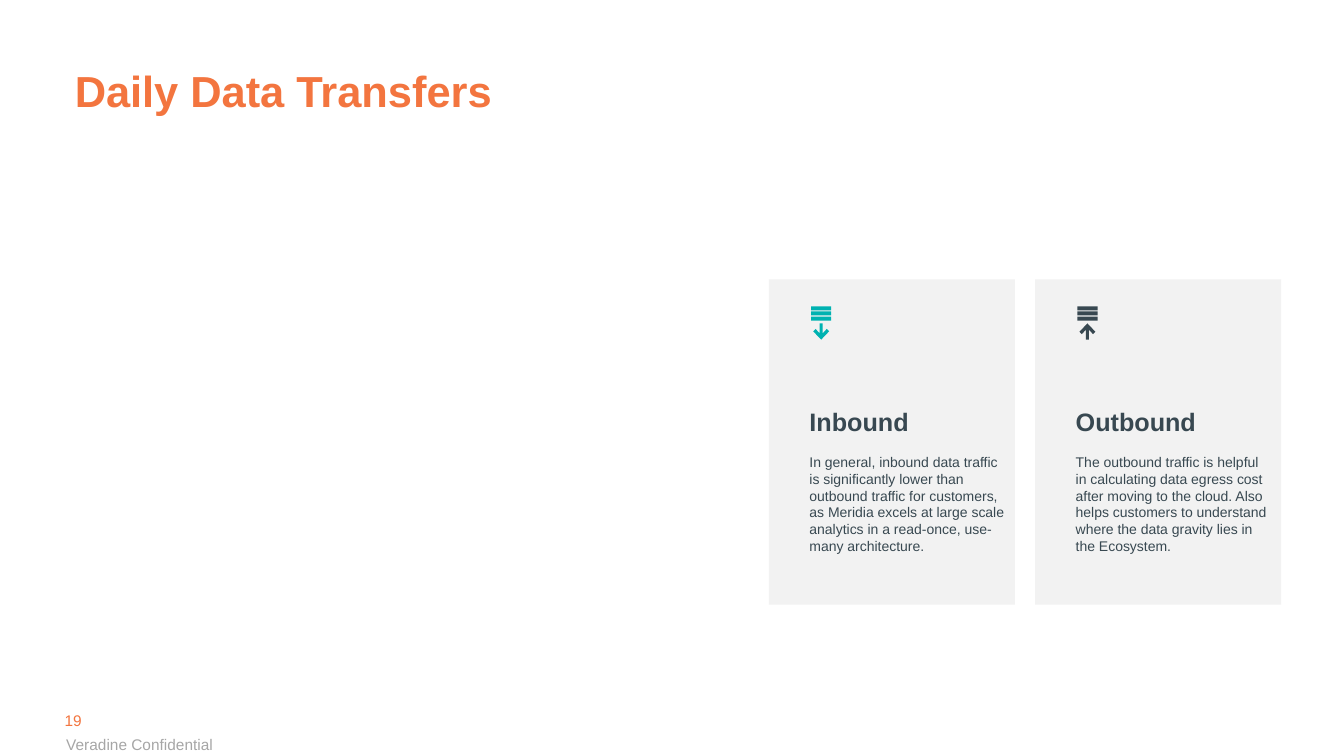
from dataclasses import dataclass
from typing import Any

from pptx import Presentation
from pptx.dml.color import RGBColor
from pptx.enum.shapes import MSO_SHAPE
from pptx.enum.text import MSO_ANCHOR, MSO_AUTO_SIZE, PP_ALIGN
from pptx.util import Cm, Pt

ORANGE = RGBColor(0xF3, 0x75, 0x3F)
SLATE = RGBColor(0x38, 0x48, 0x51)
TEAL = RGBColor(0x00, 0xB2, 0xB1)
PALE = RGBColor(0xF2, 0xF2, 0xF2)
GREY = RGBColor(0xA6, 0xA6, 0xA6)

CARD_LEFT, CARD_TOP, CARD_WIDE, CARD_HIGH = 19.38, 7.04, 6.2, 8.2
CARD_STEP = 6.71
ICON_LEFT, ICON_TOP = 1.06, 0.68
BAR_WIDE, BAR_HIGH, BAR_STEP, BAR_COUNT = 0.51, 0.1, 0.13, 3
ARROW_TOP, ARROW_HIGH = 1.11, 0.41
# Right half of a downward arrow: offset from its axis, depth
ARROW_HALF = [(0.04, 0), (0.04, 0.25), (0.14, 0.14), (0.2, 0.2), (0, 0.41)]

CARD_FRAME = {
    "word_wrap": True,
    "vertical_anchor": MSO_ANCHOR.BOTTOM,
    "margin_left": Cm(1.02),
    "margin_top": 0,
    "margin_right": Cm(0.25),
    "margin_bottom": Cm(1.27),
}
CARD_PARA = {
    "alignment": PP_ALIGN.LEFT,
    "space_before": Pt(6),
    "space_after": Pt(6),
}
TITLE_FRAME = {
    "word_wrap": True,
    "auto_size": MSO_AUTO_SIZE.NONE,
    "vertical_anchor": MSO_ANCHOR.BOTTOM,
}
TITLE_PARA = {"alignment": PP_ALIGN.LEFT, "line_spacing": 0.9}


@dataclass
class Card:
    head: str
    body: str
    color: RGBColor
    down: bool


@dataclass
class Label:
    text: str
    box: tuple[float, float, float, float]
    inset: float
    color: RGBColor


CARDS = [
    Card(
        "Inbound",
        "In general, inbound data traffic is significantly lower than outbound "
        "traffic for customers, as Meridia excels at large scale analytics in a "
        "read-once, use-many architecture.",
        TEAL,
        True,
    ),
    Card(
        "Outbound",
        "The outbound traffic is helpful in calculating data egress cost after "
        "moving to the cloud. Also helps customers to understand where the data "
        "gravity lies in the Ecosystem.",
        SLATE,
        False,
    ),
]
LABELS = [
    Label("19", (1.63, 17.91, 0.48, 0.48), 0, ORANGE),
    Label("Veradine Confidential", (1.42, 18.39, 4.27, 0.74), 0.25, GREY),
]


def apply(item: Any, values: dict[str, Any]) -> None:
    """Set each named attribute of the item."""
    for name, value in values.items():
        setattr(item, name, value)


def write(para: Any, text: str, size: float, color: RGBColor, bold: bool = False) -> None:
    run = para.add_run()
    run.text = text
    apply(run.font, {"name": "Arial", "size": Pt(size), "bold": bold})
    run.font.color.rgb = color


def paint(shape: Any, color: RGBColor) -> None:
    shape.shadow.inherit = False
    shape.fill.solid()
    shape.fill.fore_color.rgb = color
    shape.line.fill.background()


def draw_rect(shapes: Any, box: tuple[float, ...], color: RGBColor) -> Any:
    rect = shapes.add_shape(MSO_SHAPE.RECTANGLE, *map(Cm, box))
    paint(rect, color)
    return rect


def draw_arrow(shapes: Any, left: float, top: float, card: Card) -> None:
    mirror = [(-x, y) for x, y in reversed(ARROW_HALF[:-1])]
    points = [
        (Cm(left + BAR_WIDE / 2 + x), Cm(top + (y if card.down else ARROW_HIGH - y)))
        for x, y in ARROW_HALF + mirror
    ]
    pen = shapes.build_freeform(*points[0])
    pen.add_line_segments(points[1:], close=True)
    paint(pen.convert_to_shape(), card.color)


def draw_card(shapes: Any, left: float, card: Card) -> None:
    rect = draw_rect(shapes, (left, CARD_TOP, CARD_WIDE, CARD_HIGH), PALE)
    frame = rect.text_frame
    apply(frame, CARD_FRAME)
    write(frame.paragraphs[0], card.head, 18, SLATE, True)
    write(frame.add_paragraph(), card.body, 10, SLATE)
    for para in frame.paragraphs:
        apply(para, CARD_PARA)

    icon = shapes.add_group_shape().shapes
    x, y = left + ICON_LEFT, CARD_TOP + ICON_TOP
    for row in range(BAR_COUNT):
        draw_rect(icon, (x, y + row * BAR_STEP, BAR_WIDE, BAR_HIGH), card.color)
    draw_arrow(icon, x, CARD_TOP + ARROW_TOP, card)


def draw_label(shapes: Any, label: Label) -> None:
    frame = shapes.add_textbox(*map(Cm, label.box)).text_frame
    frame.word_wrap = False
    sides = ("left", "right")
    apply(frame, {f"margin_{side}": Cm(label.inset) for side in sides})
    apply(frame, {f"margin_{side}": Cm(label.inset / 2) for side in ("top", "bottom")})
    write(frame.paragraphs[0], label.text, 11, label.color)


def draw_title(title: Any, text: str) -> None:
    apply(title, {"left": Cm(1.63), "top": Cm(1.09), "width": Cm(29.21), "height": Cm(1.98)})
    apply(title.text_frame, TITLE_FRAME)
    para = title.text_frame.paragraphs[0]
    apply(para, TITLE_PARA)
    write(para, text, 31, ORANGE, True)


def main() -> None:
    deck = Presentation()
    apply(deck, {"slide_width": Cm(33.87), "slide_height": Cm(19.05)})
    shapes = deck.slides.add_slide(deck.slide_layouts[5]).shapes
    draw_title(shapes.title, "Daily Data Transfers")
    for label in LABELS:
        draw_label(shapes, label)
    for col, card in enumerate(CARDS):
        draw_card(shapes, CARD_LEFT + col * CARD_STEP, card)
    deck.save("out.pptx")


if __name__ == "__main__":
    main()
